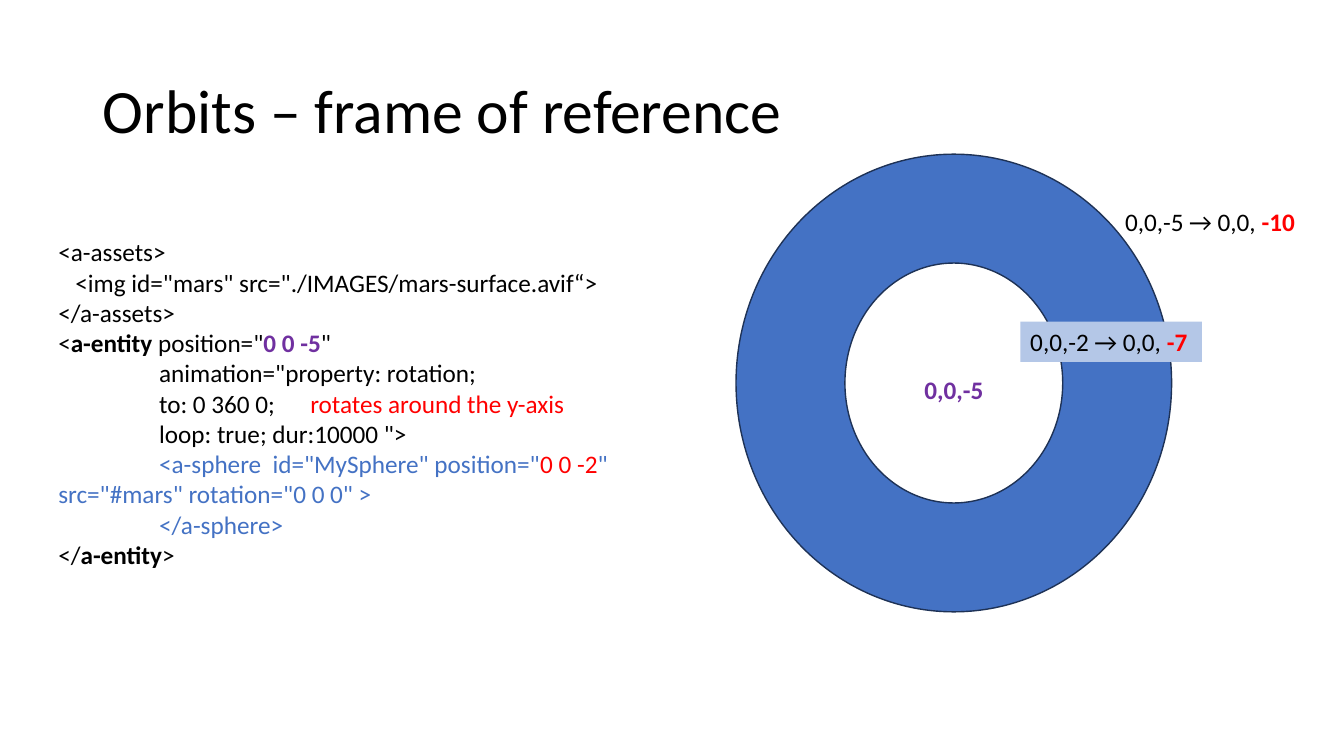
"""Build the slide on orbits and their frame of reference."""
from lxml import etree
from pptx import Presentation
from pptx.dml.color import RGBColor
from pptx.enum.shapes import MSO_SHAPE
from pptx.enum.text import MSO_ANCHOR, MSO_AUTO_SIZE, PP_ALIGN
from pptx.oxml.ns import qn
from pptx.util import Inches, Pt

DONUT = MSO_SHAPE.DONUT
MIDDLE = MSO_ANCHOR.MIDDLE
GROW = MSO_AUTO_SIZE.SHAPE_TO_FIT_TEXT
LEFT = PP_ALIGN.LEFT
BLACK, RED, PURPLE, BLUE = "000000", "FF0000", "7030A0", "4472C4"


def color(value):
    return RGBColor.from_string(value)


def add_runs(paragraph, runs, size=18):
    paragraph.alignment = LEFT
    for text, text_color, bold in runs:
        run = paragraph.add_run()
        run.text = text
        run.font.name = "Calibri"
        run.font.size = Pt(size)
        run.font.bold = bold
        run.font.color.rgb = color(text_color)


presentation = Presentation()
presentation.slide_width = Inches(13.33)
presentation.slide_height = Inches(7.5)
slide = presentation.slides.add_slide(presentation.slide_layouts[5])

title = slide.shapes.title
title.left, title.top = Inches(0.92), Inches(0.4)
title.width, title.height = Inches(11.5), Inches(1.45)
title.text_frame.vertical_anchor = MIDDLE
title_paragraph = title.text_frame.paragraphs[0]
title_paragraph.line_spacing = 0.9
add_runs(title_paragraph, [("Orbits – frame of reference", BLACK, False)], 44)

orbit = slide.shapes.add_shape(DONUT, Inches(7.3), Inches(1.53), Inches(4.32), Inches(4.54))
orbit.shadow.inherit = False
orbit.fill.solid()
orbit.fill.fore_color.rgb = color(BLUE)
orbit.line.color.rgb = color("1E3256")
orbit.line.width = Pt(1)

labels = [
    (9.07, 3.66, 0.79, None, [("0,0,-5", PURPLE, True)]),
    (11.06, 2, 1.93, None, [("0,0,-5 → 0,0, ", BLACK, False), ("-10", RED, True)]),
    (10.12, 3.19, 1.8, "B4C7E7", [("0,0,-2 → 0,0, ", BLACK, False), ("-7", RED, True)]),
]
for left, top, width, fill, runs in labels:
    label = slide.shapes.add_textbox(Inches(left), Inches(top), Inches(width), Inches(0.4))
    label.text_frame.word_wrap = False
    label.text_frame.auto_size = GROW
    if fill:
        label.fill.solid()
        label.fill.fore_color.rgb = color(fill)
    add_runs(label.text_frame.paragraphs[0], runs)

code_lines = [
    (0, [("<a-assets>", BLACK, False)]),
    (0.17, [('<img id="mars" src="./IMAGES/mars-surface.avif“>', BLACK, False)]),
    (0, [("</a-assets>", BLACK, False)]),
    (0, [("<", BLACK, False), ("a-entity", BLACK, True), (' position="', BLACK, False),
         ("0 0 -5", PURPLE, True), ('"', BLACK, False)]),
    (1, [('animation="property: rotation;', BLACK, False)]),
    (1, [("to: 0 360 0;\t", BLACK, False), ("rotates around the y-axis", RED, False)]),
    (1, [('loop: true; dur:10000 ">', BLACK, False)]),
    (1, [('<a-sphere  id="MySphere" position="', BLUE, False), ("0 0 -2", RED, False),
         ('" src="#mars" rotation="0 0 0" >', BLUE, False)]),
    (1, [("</a-sphere>", BLUE, False)]),
    (0, [("</", BLACK, False), ("a-entity", BLACK, True), (">", BLACK, False)]),
]
code = slide.shapes.add_textbox(Inches(0.48), Inches(2.3), Inches(6.67), Inches(3.43))
code_frame = code.text_frame
code_frame.word_wrap = True
code_frame.auto_size = GROW
for number, (indent, runs) in enumerate(code_lines):
    paragraph = code_frame.add_paragraph() if number else code_frame.paragraphs[0]
    add_runs(paragraph, runs)
    properties = paragraph._p.get_or_add_pPr()
    properties.set("marL", "0")
    properties.set("indent", str(Inches(indent)))
    if "\t" in paragraph.text:
        tab_list = etree.SubElement(properties, qn("a:tabLst"))
        etree.SubElement(tab_list, qn("a:tab"), pos=str(Inches(2.37)), algn="l")

presentation.save("out.pptx")
